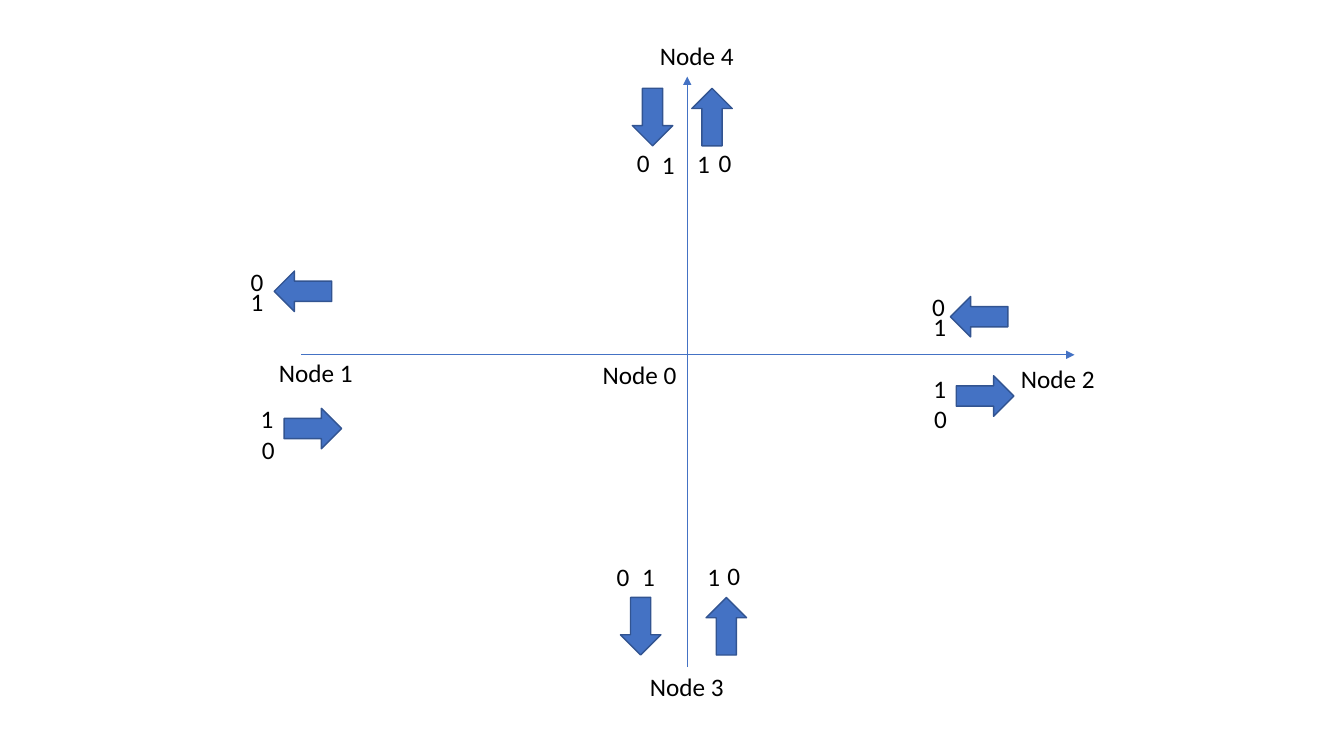
from typing import NamedTuple

from lxml import etree
from pptx import Presentation
from pptx.dml.color import RGBColor
from pptx.enum.shapes import MSO_CONNECTOR, MSO_SHAPE
from pptx.enum.text import MSO_AUTO_SIZE, PP_ALIGN
from pptx.oxml.ns import qn
from pptx.util import Cm, Pt

STRAIGHT = MSO_CONNECTOR.STRAIGHT
ARROW = MSO_SHAPE.RIGHT_ARROW
FIT = MSO_AUTO_SIZE.SHAPE_TO_FIT_TEXT
LEFT = PP_ALIGN.LEFT

BLUE, EDGE, BLACK = "4472C4", "325491", "000000"
HIGH = 1.02  # height of labels and arrows, in cm
NODE_W, BIT_W, ARROW_W = 2.39, 0.84, 1.45


class Point(NamedTuple):
    x: float
    y: float


class Flow(NamedTuple):
    """A block arrow with its two bit labels."""
    arrow: Point
    turn: int
    zero: Point
    one: Point


# Label places, indexed by node number
NODES = [Point(14.94, 8.94), Point(6.78, 8.89), Point(25.48, 9.02),
         Point(16.13, 16.79), Point(16.38, 0.89)]

FLOWS = [
    # Node 1
    Flow(Point(7.16, 10.29), 0, Point(6.35, 10.82), Point(6.32, 10.03)),
    Flow(Point(6.91, 6.83), 180, Point(6.07, 6.58), Point(6.07, 7.09)),
    # Node 2
    Flow(Point(24.1, 9.47), 0, Point(23.29, 10.03), Point(23.27, 9.27)),
    Flow(Point(23.95, 7.47), 180, Point(23.24, 7.21), Point(23.27, 7.72)),
    # Node 3
    Flow(Point(15.42, 15.27), 90, Point(15.29, 14.02), Point(15.93, 14.02)),
    Flow(Point(17.58, 15.27), 270, Point(18.08, 14), Point(17.58, 14.02)),
    # Node 4
    Flow(Point(15.72, 2.44), 90, Point(15.8, 3.58), Point(16.43, 3.63)),
    Flow(Point(17.22, 2.44), 270, Point(17.86, 3.58), Point(17.32, 3.61)),
]

deck = Presentation()
deck.slide_width, deck.slide_height = Cm(33.87), Cm(19.05)
slide = deck.slides.add_slide(deck.slide_layouts[6])


def paint(color, value: str) -> None:
    color.rgb = RGBColor.from_string(value)


def write(text: str, at: Point, *, width: float, size: float = 18,
          font: str = "Calibri", color: str = BLACK) -> None:
    box = slide.shapes.add_textbox(Cm(at.x), Cm(at.y), Cm(width), Cm(HIGH))
    frame = box.text_frame
    frame.word_wrap = False
    frame.auto_size = FIT
    para = frame.paragraphs[0]
    para.alignment = LEFT
    run = para.add_run()
    run.text = text
    run.font.size, run.font.name = Pt(size), font
    paint(run.font.color, color)


def draw_axis(start: Point, end: Point) -> None:
    axis = slide.shapes.add_connector(
        STRAIGHT, Cm(start.x), Cm(start.y), Cm(end.x), Cm(end.y))
    axis.line.width = Pt(0.5)
    paint(axis.line.color, BLUE)
    line = axis.line._get_or_add_ln()
    etree.SubElement(line, qn("a:tailEnd"), type="triangle")
    etree.SubElement(axis._element.spPr, qn("a:effectLst"))


def draw_flow(flow: Flow) -> None:
    arrow = slide.shapes.add_shape(
        ARROW, Cm(flow.arrow.x), Cm(flow.arrow.y), Cm(ARROW_W), Cm(HIGH))
    arrow.rotation = flow.turn
    arrow.shadow.inherit = False
    arrow.fill.solid()
    paint(arrow.fill.fore_color, BLUE)
    arrow.line.width = Pt(1)
    paint(arrow.line.color, EDGE)
    write("0", flow.zero, width=BIT_W)
    write("1", flow.one, width=BIT_W)


# Axes
draw_axis(Point(7.59, 8.94), Point(27.08, 8.94))
draw_axis(Point(17.32, 16.81), Point(17.32, 1.93))

# Node labels
for number, place in enumerate(NODES):
    write(f"Node {number}", place, width=NODE_W)

# Arrows with bits
for flow in FLOWS:
    draw_flow(flow)

deck.save("out.pptx")
